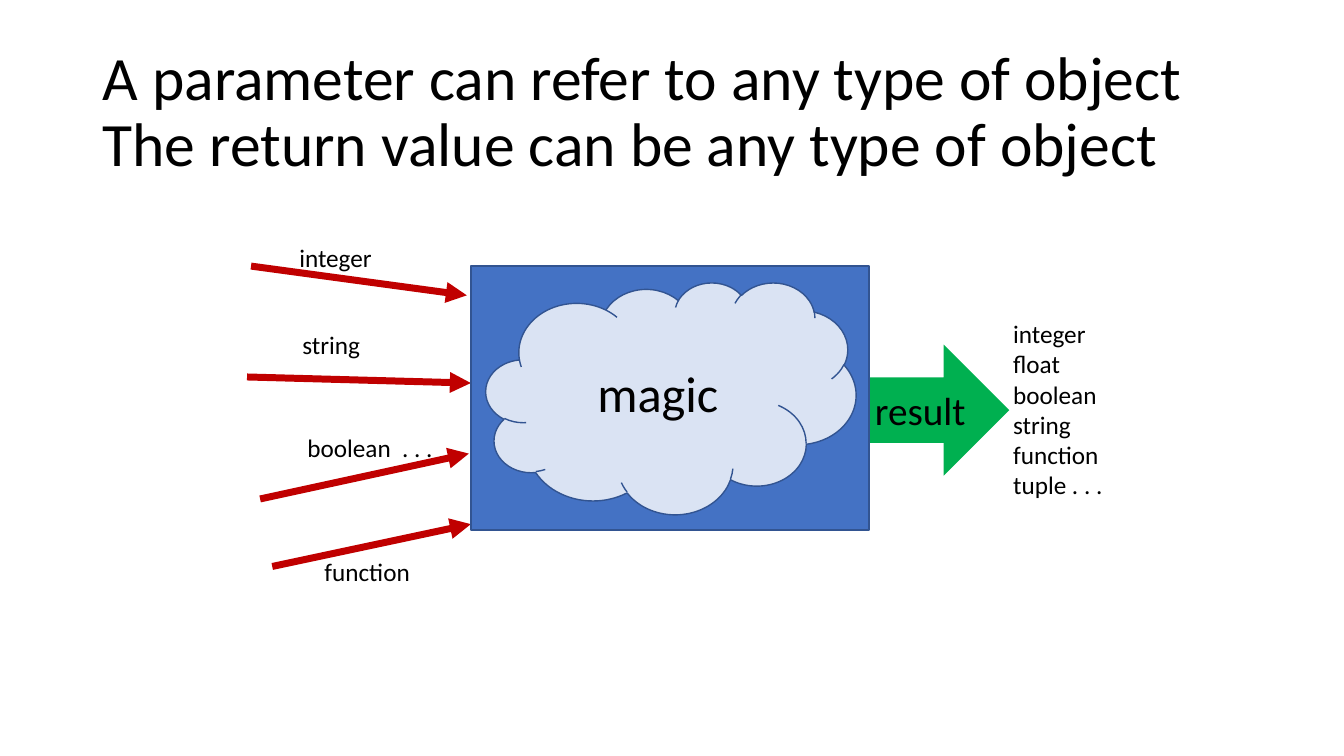
"""Build a slide on the object types a function can take and return."""
from dataclasses import dataclass

from lxml.etree import SubElement
from pptx import Presentation
from pptx.dml.color import RGBColor
from pptx.enum.shapes import MSO_CONNECTOR, MSO_SHAPE
from pptx.enum.text import MSO_ANCHOR, MSO_AUTO_SIZE, PP_ALIGN
from pptx.oxml.ns import qn
from pptx.util import Inches, Pt

FONT = "Calibri"
BLACK, RED, GREEN, BLUE, PALE, EDGE = (
    "000000", "C00000", "00B050", "4472C4", "DAE3F3", "325491")
RETURN_TYPES = ["integer", "float", "boolean", "string", "function", "tuple . . ."]


@dataclass(frozen=True)
class Argument:
    label: str
    label_box: tuple[float, float, float, float]
    start: tuple[float, float]
    end: tuple[float, float]


@dataclass(frozen=True)
class Block:
    kind: MSO_SHAPE
    box: tuple[float, float, float, float]
    fill: str
    line: str | None = None
    text: str = ""
    size: int = 18


ARGUMENTS = [
    Argument("integer", (28.7, 23.5, 9.3, 4), (24.9, 26.4), (46.3, 29.3)),
    Argument("string", (29, 32.2, 7.8, 4), (24.5, 37.4), (46.7, 38)),
    Argument("function", (31.2, 54.7, 10.6, 4), (27, 56.2), (46.7, 52)),
    Argument("boolean  . . .", (29.5, 42.4, 15.2, 4), (25.8, 49.5), (46.5, 45)),
]
RESULT = Block(MSO_SHAPE.RIGHT_ARROW, (85.7, 34.2, 14.4, 13), GREEN, text="result", size=28)
FUNCTION = Block(MSO_SHAPE.RECTANGLE, (46.7, 26.4, 39.5, 26.2), BLUE, EDGE)
MAGIC = Block(MSO_SHAPE.CLOUD, (48.2, 28, 36.7, 23), PALE, EDGE, "magic", 36)


def cells(*counts: float) -> list[int]:
    """Convert grid columns or rows, each a tenth of an inch, to lengths."""
    return [Inches(n / 10) for n in counts]


def rgb(value: str) -> RGBColor:
    """Turn a hex string into a colour."""
    return RGBColor.from_string(value)


def write(tf, paragraphs: list[str], *, size: int = 18, color: str = BLACK,
          align=None, spacing: float | None = None) -> None:
    """Fill a text frame with formatted paragraphs."""
    for i, text in enumerate(paragraphs):
        p = tf.paragraphs[0] if i == 0 else tf.add_paragraph()
        p.text = text
        p.alignment = align
        p.line_spacing = spacing
        for r in p.runs:
            r.font.name = FONT
            r.font.size = Pt(size)
            r.font.color.rgb = rgb(color)


def add_text(slide, box: tuple, paragraphs: list[str], *, wrap: bool = True,
             anchor=MSO_ANCHOR.TOP, grow: bool = True, **fmt) -> None:
    """Add a text box."""
    tf = slide.shapes.add_textbox(*cells(*box)).text_frame
    tf.word_wrap = wrap
    tf.vertical_anchor = anchor
    tf.auto_size = MSO_AUTO_SIZE.SHAPE_TO_FIT_TEXT if grow else MSO_AUTO_SIZE.NONE
    write(tf, paragraphs, **fmt)


def add_arrow(slide, start: tuple, end: tuple) -> None:
    """Add a thick arrow from start to end."""
    sp = slide.shapes.add_connector(MSO_CONNECTOR.STRAIGHT, *cells(*start, *end))
    sp.line.color.rgb = rgb(RED)
    sp.line.width = Pt(5)
    SubElement(sp.line._get_or_add_ln(), qn("a:tailEnd"), type="triangle")
    SubElement(sp._element.spPr, qn("a:effectLst"))


def add_block(slide, block: Block) -> None:
    """Add a filled shape with its centred text."""
    sp = slide.shapes.add_shape(block.kind, *cells(*block.box))
    sp.shadow.inherit = False
    sp.fill.solid()
    sp.fill.fore_color.rgb = rgb(block.fill)
    if block.line:
        sp.line.color.rgb = rgb(block.line)
        sp.line.width = Pt(1)
    else:
        sp.line.fill.background()
    if block.text:
        sp.text_frame.vertical_anchor = MSO_ANCHOR.MIDDLE
        write(sp.text_frame, [block.text], size=block.size, align=PP_ALIGN.CENTER)


def main() -> None:
    """Build and save the slide."""
    prs = Presentation()
    prs.slide_width, prs.slide_height = Inches(13.33), Inches(7.5)
    s = prs.slides.add_slide(prs.slide_layouts[6])
    title = ("A parameter can refer to any type of object\n"
             "The return value can be any type of object")
    add_text(s, (9.2, 4, 115, 14.5), [title], anchor=MSO_ANCHOR.MIDDLE,
             grow=False, size=44, spacing=0.9)
    for arg in ARGUMENTS:
        add_arrow(s, arg.start, arg.end)
        add_text(s, arg.label_box, [arg.label], wrap=False)
    add_block(s, RESULT)
    add_text(s, (99.5, 31.1, 12.8, 19.2), RETURN_TYPES)
    for block in (FUNCTION, MAGIC):
        add_block(s, block)
    prs.save("out.pptx")


if __name__ == "__main__":
    main()
